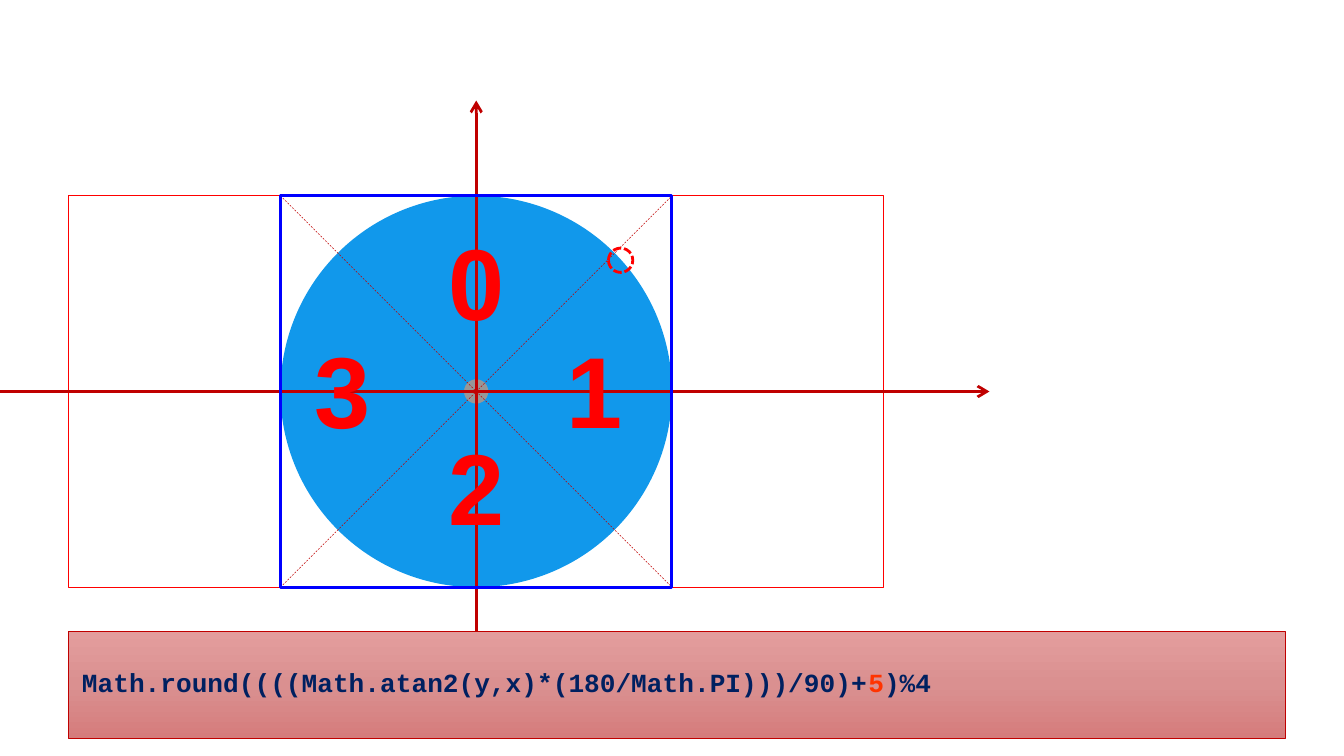
import copy

import pptx
import pptx.dml.color
import pptx.enum.dml
import pptx.enum.shapes
import pptx.enum.text
import pptx.oxml
import pptx.oxml.ns
import pptx.util
from lxml import etree
from pptx.util import Cm

COLORS = {
    "red": "FF0000", "dark_red": "C00000", "blue": "0000FF", "disc": "1198EB",
    "grey": "979797", "navy": "002060", "orange": "FF3300", "halo": "FEFEFE",
}
GRADIENT = ["E39D9D", "DA9090", "D57C7C"]
SHAPE = pptx.enum.shapes.MSO_SHAPE
DASH = pptx.enum.dml.MSO_LINE
qn = pptx.oxml.ns.qn


def rgb(name):
    return pptx.dml.color.RGBColor.from_string(COLORS[name])


class Diagram:
    """Holds the style and the current slide; lengths are in centimetres."""

    def __init__(self, slide):
        self.slide = slide

    def style_line(self, line, color, width, dash=None):
        line.color.rgb = rgb(color)
        line.width = pptx.util.Pt(width)
        if dash:
            line.dash_style = dash

    def shape(self, kind, x, y, w, h, fill=None, line=None, width=1, dash=None):
        sp = self.slide.shapes.add_shape(kind, Cm(x), Cm(y), Cm(w), Cm(h))
        sp.shadow.inherit = False
        if fill:
            sp.fill.solid()
            sp.fill.fore_color.rgb = rgb(fill)
        else:
            sp.fill.background()
        if line:
            self.style_line(sp.line, line, width, dash)
        else:
            sp.line.fill.background()
        return sp

    def centered(self, kind, x, y, size, **style):
        return self.shape(kind, x - size / 2, y - size / 2, size, size, **style)

    def line(self, x1, y1, x2, y2, width, dash=None, arrow=False):
        c = self.slide.shapes.add_connector(
            pptx.enum.shapes.MSO_CONNECTOR.STRAIGHT, Cm(x1), Cm(y1), Cm(x2), Cm(y2))
        self.style_line(c.line, "dark_red", width, dash)
        if arrow:
            etree.SubElement(c.line._get_or_add_ln(), qn("a:tailEnd"), type="arrow")
        etree.SubElement(c._element.spPr, qn("a:effectLst"))

    def run(self, p, text, size, font, color):
        r = p.add_run()
        r.text = text
        r.font.size = pptx.util.Pt(size)
        r.font.name = font
        r.font.bold = True
        r.font.color.rgb = rgb(color)
        return r

    def digit(self, text, x, y):
        """Adds a large outlined digit centred on a point."""
        w, h = 1.57, 2.57
        sp = self.slide.shapes.add_textbox(Cm(x - w / 2), Cm(y - h / 2), Cm(w), Cm(h))
        tf = sp.text_frame
        tf.word_wrap = False
        tf.auto_size = pptx.enum.text.MSO_AUTO_SIZE.SHAPE_TO_FIT_TEXT
        p = tf.paragraphs[0]
        p.alignment = pptx.enum.text.PP_ALIGN.CENTER
        r = self.run(p, text, 54, "Arial", "red")
        outline = pptx.oxml.parse_xml(
            f'<a:ln {pptx.oxml.ns.nsdecls("a")} w="{pptx.util.Pt(1.5)}"><a:solidFill>'
            f'<a:srgbClr val="{COLORS["halo"]}"/></a:solidFill></a:ln>')
        r.font._element.insert(0, outline)

    def formula(self, x, y, w, h, parts):
        sp = self.shape(SHAPE.RECTANGLE, x, y, w, h, line="dark_red", width=0.5)
        sp.fill.gradient()
        sp.fill.gradient_angle = 270
        stops = sp._element.spPr.find(".//" + qn("a:gsLst"))
        stops.insert(1, copy.deepcopy(stops[0]))
        for i, (stop, color) in enumerate(zip(sp.fill.gradient_stops, GRADIENT)):
            stop.position = i / 2
            stop.color.rgb = pptx.dml.color.RGBColor.from_string(color)
        tf = sp.text_frame
        tf.word_wrap = True
        tf.vertical_anchor = pptx.enum.text.MSO_ANCHOR.MIDDLE
        p = tf.paragraphs[0]
        p.alignment = pptx.enum.text.PP_ALIGN.LEFT
        p.line_spacing = pptx.util.Pt(14)
        for text, color in parts:
            self.run(p, text, 14, "Courier New", color)


def main():
    prs = pptx.Presentation()
    prs.slide_width, prs.slide_height = Cm(25.4), Cm(14.29)
    d = Diagram(prs.slides.add_slide(prs.slide_layouts[6]))

    cx, cy, radius, dot = 9, 7.4, 3.7, 0.46
    left, right = cx - radius, cx + radius
    top, bottom = cy - radius, cy + radius
    margin = 1.3

    d.shape(SHAPE.RECTANGLE, margin, top, 15.4, 2 * radius, line="red", width=0.25)
    d.centered(SHAPE.OVAL, cx, cy, 2 * radius, fill="disc")
    d.centered(SHAPE.OVAL, cx, cy, dot, fill="grey")

    d.line(-1.1, cy, 18.7, cy, 1.5, arrow=True)
    d.line(cx, 12.7, cx, 1.9, 1.5, arrow=True)
    d.line(left, bottom, right, top, 0.25, DASH.DASH)
    d.line(left, top, right, bottom, 0.25, DASH.DASH)

    d.centered(SHAPE.RECTANGLE, cx, cy, 2 * radius, line="blue", width=1.5)
    d.centered(SHAPE.OVAL, 11.73, 4.92, dot, line="red", width=1.5,
               dash=DASH.SQUARE_DOT)

    d.formula(margin, 11.94, 23, 2.02, [
        ("Math.round((((Math.atan2(y,x)*(180/Math.PI)))/90)+", "navy"),
        ("5", "orange"),
        (")%4", "navy"),
    ])

    offsets = [(0, -2.08), (2.23, -0.05), (0, 1.78), (-2.52, -0.05)]
    for quadrant, (dx, dy) in enumerate(offsets):
        d.digit(str(quadrant), cx + dx, cy + dy)

    prs.save("out.pptx")


if __name__ == "__main__":
    main()
